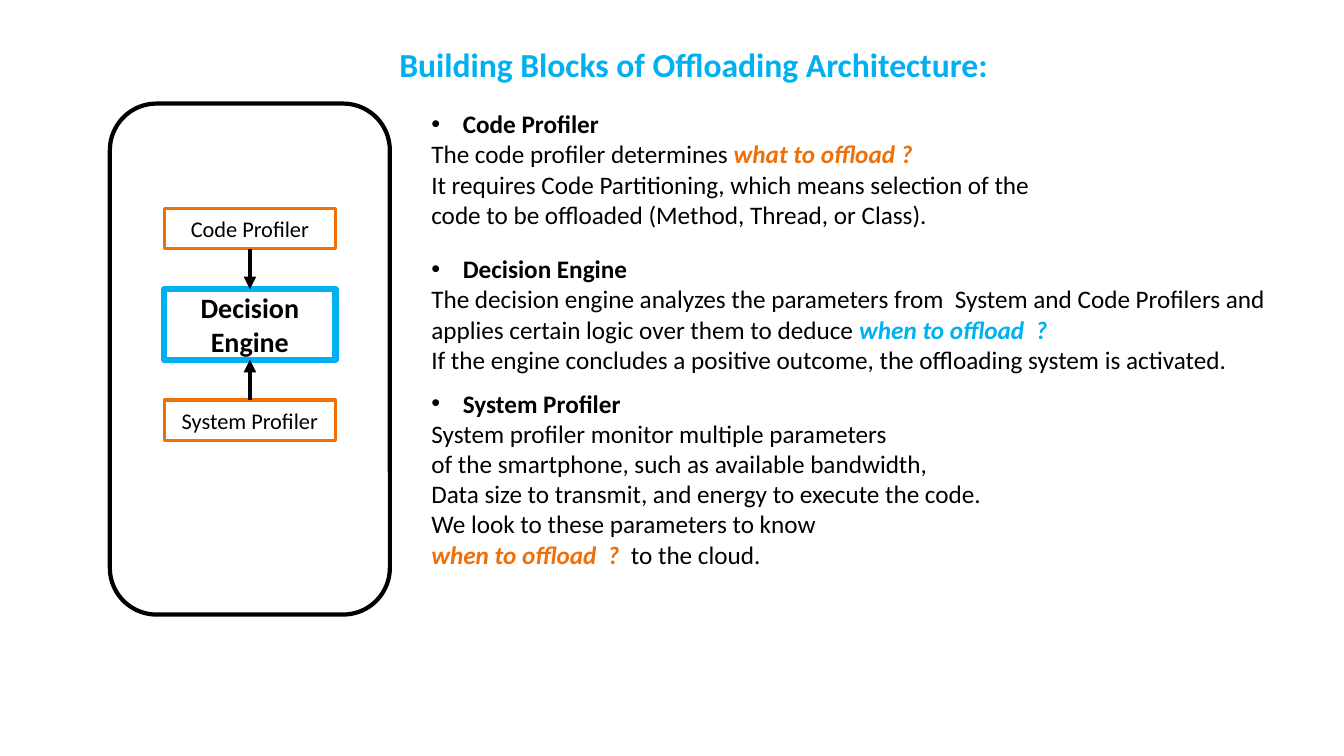
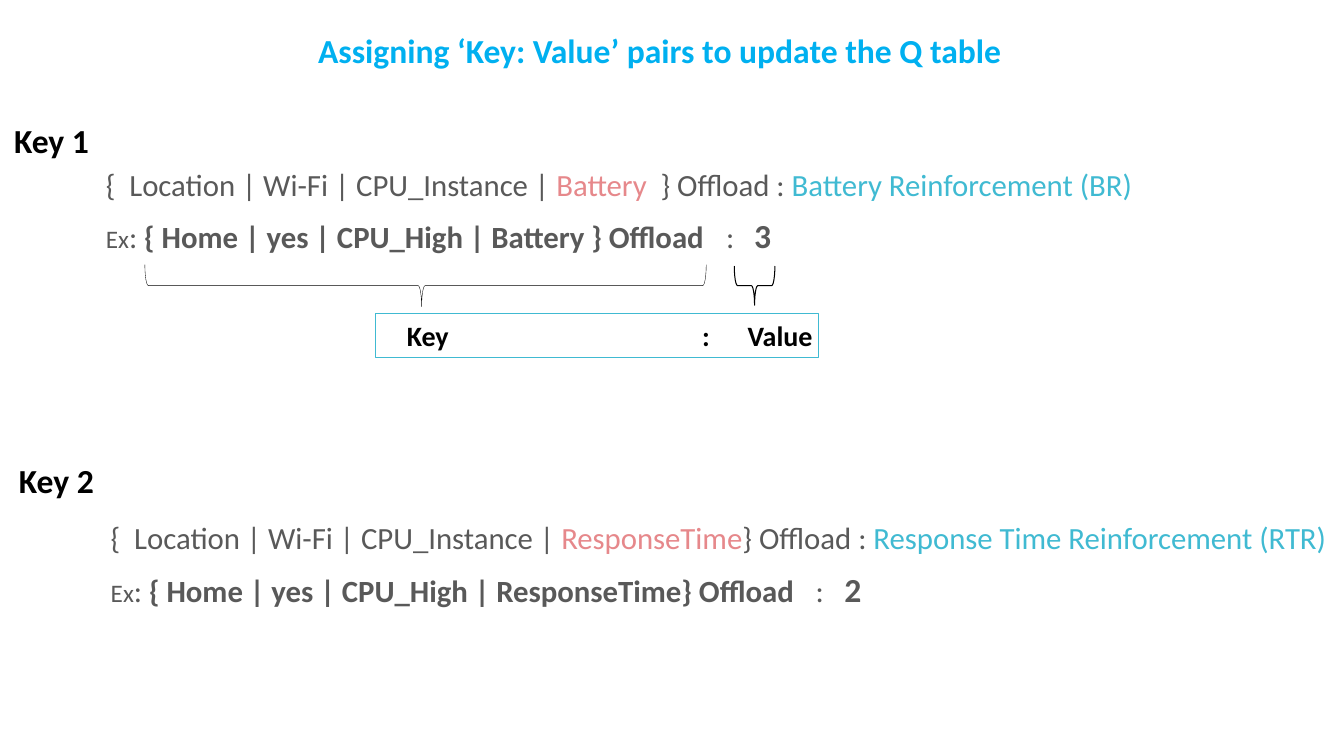
from lxml import etree
from pptx import Presentation
from pptx.dml.color import RGBColor
from pptx.enum.shapes import MSO_CONNECTOR, MSO_SHAPE
from pptx.enum.text import MSO_ANCHOR, MSO_AUTO_SIZE, PP_ALIGN
from pptx.oxml.ns import qn
from pptx.util import Pt

RECTANGLE = MSO_SHAPE.RECTANGLE
ROUNDED = MSO_SHAPE.ROUNDED_RECTANGLE
BRACE = MSO_SHAPE.LEFT_BRACE
STRAIGHT = MSO_CONNECTOR.STRAIGHT
TOP, MIDDLE = MSO_ANCHOR.TOP, MSO_ANCHOR.MIDDLE
LEFT, CENTER = PP_ALIGN.LEFT, PP_ALIGN.CENTER
NO_AUTOFIT = MSO_AUTO_SIZE.NONE

FONT = "Calibri"
COLORS = {
    "black": "000000", "white": "FFFFFF", "blue": "00B0F0", "orange": "EE7008",
    "gray": "595959", "rose": "E6888B", "teal": "40BAD2",
}
INDENT = 22.5


def color(name):
    """Return the named palette colour."""
    return RGBColor.from_string(COLORS[name])


def add_span(para, text, size=18, ink="black", bold=False, italic=False):
    """Append one formatted run to a paragraph."""
    span = para.add_run()
    span.text = text
    font = span.font
    font.name, font.size, font.bold, font.italic = FONT, Pt(size), bold, italic
    font.color.rgb = color(ink)


def add_bullet(para):
    """Give a paragraph a round bullet with a hanging indent."""
    properties = para._p.get_or_add_pPr()
    properties.set("marL", str(Pt(INDENT)))
    properties.set("indent", str(-Pt(INDENT)))
    etree.SubElement(properties, qn("a:buFont"), typeface="Arial")
    etree.SubElement(properties, qn("a:buChar"), char="•")


def add_tabs(para, stops):
    """Set left tab stops, measured in points from the text edge."""
    tabs = etree.SubElement(para._p.get_or_add_pPr(), qn("a:tabLst"))
    for stop in stops:
        etree.SubElement(tabs, qn("a:tab"), pos=str(Pt(stop)), algn="l")


def add_text_box(page, box):
    """Add a wrapping text box and return its text frame."""
    frame = page.shapes.add_textbox(*map(Pt, box)).text_frame
    frame.word_wrap = True
    return frame


def next_paragraph(frame, index):
    """Return the first paragraph of a frame, or a new one after it."""
    return frame.paragraphs[0] if index == 0 else frame.add_paragraph()


def add_outline(page, kind, box, ink, weight, fill=None):
    """Add a preset shape with a coloured outline and an optional fill."""
    shape = page.shapes.add_shape(kind, *map(Pt, box))
    shape.shadow.inherit = False
    if fill:
        shape.fill.solid()
        shape.fill.fore_color.rgb = color(fill)
    else:
        shape.fill.background()
    shape.line.color.rgb = color(ink)
    shape.line.width = Pt(weight)
    return shape


def add_arrow(page, x, start, end):
    """Draw a vertical arrow from start to end."""
    arrow = page.shapes.add_connector(STRAIGHT, Pt(x), Pt(start), Pt(x), Pt(end))
    arrow.line.color.rgb = color("black")
    arrow.line.width = Pt(3)
    properties = arrow.element.spPr
    etree.SubElement(properties.find(qn("a:ln")), qn("a:tailEnd"), type="triangle")
    etree.SubElement(properties, qn("a:effectLst"))


def add_page(deck, title, box):
    """Add a title-only slide with the shared title style."""
    page = deck.slides.add_slide(deck.slide_layouts[5])
    holder = page.shapes.title
    holder.left, holder.top, holder.width, holder.height = map(Pt, box)
    frame = holder.text_frame
    frame.auto_size, frame.word_wrap, frame.vertical_anchor = NO_AUTOFIT, True, TOP
    para = frame.paragraphs[0]
    para.alignment = LEFT
    add_span(para, title, size=24, ink="blue", bold=True)
    return page


def add_block(page, box, label, ink, weight, **style):
    """Add a white labelled block of the architecture."""
    block = add_outline(page, RECTANGLE, box, ink, weight, fill="white")
    frame = block.text_frame
    frame.word_wrap, frame.vertical_anchor = True, MIDDLE
    para = frame.paragraphs[0]
    para.alignment = CENTER
    add_span(para, label, **style)


def add_architecture(page, box):
    """Draw the phone panel with both profilers feeding the engine."""
    left, top, width, height = box
    block_width, step, engine_height = 122.4, 28.8, 50.4
    panel = add_outline(page, ROUNDED, box, "black", 3)
    panel.adjustments[0] = 0.1667
    center = left + width / 2
    block_left = center - block_width / 2
    code_top = top + 75
    engine_top = code_top + 2 * step
    engine_bottom = engine_top + engine_height
    system_top = engine_bottom + step
    for label, block_top in (("Code Profiler", code_top), ("System Profiler", system_top)):
        add_block(page, (block_left, block_top, block_width, step), label,
                  "orange", 2.25, size=16)
    add_block(page, (block_left, engine_top, block_width, engine_height),
              "Decision Engine", "blue", 4.5, size=20, bold=True)
    add_arrow(page, center, system_top, engine_bottom)
    add_arrow(page, center, code_top + step, engine_top)


def add_description(page, box, heading, lines):
    """Write a bulleted heading followed by its lines of spans."""
    frame = add_text_box(page, box)
    add_bullet(frame.paragraphs[0])
    add_span(frame.paragraphs[0], heading, bold=True)
    for line in lines:
        para = frame.add_paragraph()
        for text, style in line:
            add_span(para, text, **style)


def add_key(page, box, name, field, close, reward, value, stops):
    """Write a key heading, its pattern and an example pair."""
    left, top, width, text_offset = box
    heading = add_text_box(page, (left, top, 80, 36)).paragraphs[0]
    add_span(heading, name, size=24, bold=True)
    pattern = (
        ("{  Location | Wi-Fi | CPU_Instance | ", {}),
        (field, {"ink": "rose"}),
        (close + "} Offload : ", {}),
        (reward, {"ink": "teal"}),
    )
    gap = " " if close else ""
    example = (
        ("Ex", {"size": 18}),
        (": ", {}),
        (f"{{ Home | yes | CPU_High | {field}{gap}}} Offload", {"bold": True}),
        ("\t:\t", {}),
        (value, {"size": 24, "bold": True}),
    )
    frame = add_text_box(page, (left + 65.5, top + text_offset, width, 88))
    for index, spans in enumerate((pattern, example)):
        para = next_paragraph(frame, index)
        para.line_spacing, para.space_before = 0.9, Pt(12)
        for text, style in spans:
            add_span(para, text, **{"size": 22, "ink": "gray", **style})
    add_tabs(frame.paragraphs[1], stops)


def add_brace(page, box, weight, tip=0.5):
    """Draw a brace that opens upward and fills the given box."""
    left, top, width, height = box
    shift = (width - height) / 2
    brace = add_outline(page, BRACE, (left + shift, top - shift, height, width),
                        "black", weight)
    brace.rotation = 270
    brace.adjustments[0], brace.adjustments[1] = 0.0833, tip


def add_legend(page, box):
    """Draw the framed legend that names the key and the value."""
    left, top, width, height = box
    add_outline(page, RECTANGLE, box, "teal", 0.85)
    para = add_text_box(page, (left + 15, top, width + 127, height)).paragraphs[0]
    add_tabs(para, (211, 243.5))
    add_span(para, "Key\t:\tValue", size=20, bold=True)


def build_architecture_page(deck):
    """Build the slide on the blocks of the offloading architecture."""
    page = add_page(deck, "Building Blocks of Offloading Architecture:",
                    (278, 28, 459, 36))
    add_architecture(page, (78.5, 74, 200, 365))
    orange = {"ink": "orange", "bold": True, "italic": True}
    blue = {**orange, "ink": "blue"}
    descriptions = (
        (74, 474, 117, "Code Profiler", (
            (("The code profiler determines ", {}), ("what to offload ?", orange)),
            (("It requires Code Partitioning, which means selection of the code "
              "to be offloaded (Method, Thread, or Class).", {}),),
        )),
        (177.5, 632, 94, "Decision Engine", (
            (("The decision engine analyzes the parameters from  System and Code "
              "Profilers and applies certain logic over them to deduce ", {}),
             ("when to offload  ?", blue)),
            (("If the engine concludes a positive outcome, the offloading system "
              "is activated.", {}),),
        )),
        (273.5, 575, 138, "System Profiler", (
            (("System profiler monitor multiple parameters", {}),),
            (("of the smartphone, such as available bandwidth,", {}),),
            (("Data size to transmit, and energy to execute the code.", {}),),
            (("We look to these parameters to know", {}),),
            (("when to offload  ?  ", orange), ("to the cloud.", {})),
        )),
    )
    for top, width, height, heading, lines in descriptions:
        add_description(page, (301, top, width, height), heading, lines)


def build_key_page(deck):
    """Build the slide on key and value pairs."""
    page = add_page(deck, "Assigning ‘Key: Value’ pairs to update the Q table",
                    (220, 18, 532, 36))
    add_key(page, (3, 82, 760, 35.5), "Key 1", "Battery", "  ",
            "Battery Reinforcement (BR)", "3", (443, 463))
    add_brace(page, (103.5, 189, 401, 30), 0.25, tip=0.493)
    add_brace(page, (524.5, 190, 29, 28), 0.75)
    add_legend(page, (268.5, 224, 316, 31.5))
    add_key(page, (6.5, 325, 888, 45), "Key 2", "ResponseTime", "",
            "Response Time Reinforcement (RTR)", "2", (503.5, 524))


def main():
    """Build and save the deck."""
    deck = Presentation()
    deck.slide_width, deck.slide_height = Pt(960), Pt(540)
    build_architecture_page(deck)
    build_key_page(deck)
    deck.save("out.pptx")


main()
